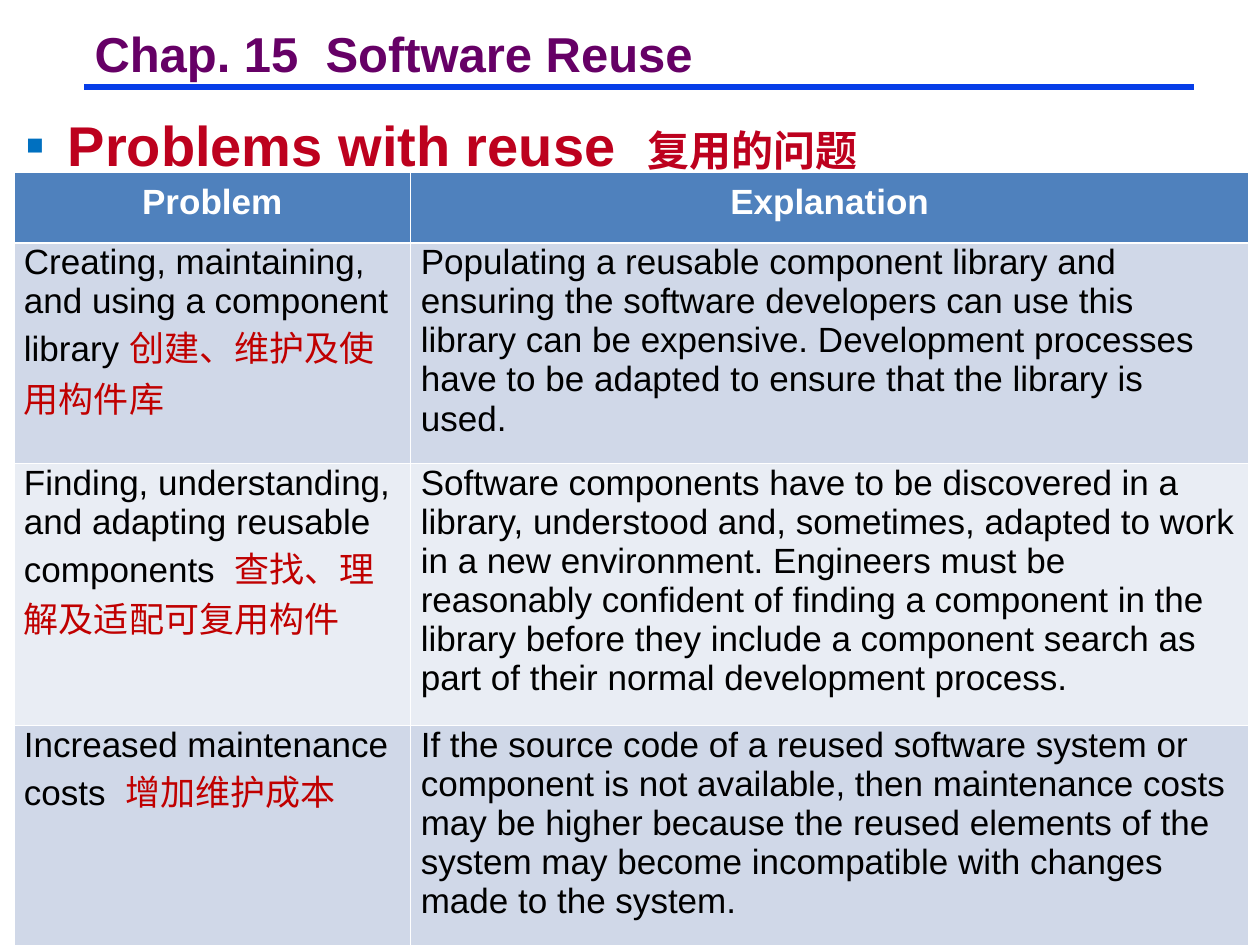
from lxml import etree
from pptx import Presentation
from pptx.dml.color import RGBColor
from pptx.enum import shapes, text
from pptx.oxml.ns import qn
from pptx.util import Inches, Pt

# Content
TITLE = "Chap. 15  Software Reuse"
HEADING = ("Problems with reuse  ", "复用的问题")
HEADERS = ["Problem", "Explanation"]
PROBLEMS = [
    (("Creating, maintaining, and using a component library ", "创建、维护及使用构件库"),
     "Populating a reusable component library and ensuring the software developers can use "
     "this library can be expensive. Development processes have to be adapted to ensure that "
     "the library is used."),
    (("Finding, understanding, and adapting reusable components  ", "查找、理解及适配可复用构件"),
     "Software components have to be discovered in a library, understood and, sometimes, "
     "adapted to work in a new environment. Engineers must be reasonably confident of finding "
     "a component in the library before they include a component search as part of their "
     "normal development process."),
    (("Increased maintenance costs  ", "增加维护成本"),
     "If the source code of a reused software system or component is not available, then "
     "maintenance costs may be higher because the reused elements of the system may become "
     "incompatible with changes made to the system."),
]
COLUMN_WIDTHS = [3.15, 6.65]
ROW_HEIGHTS = [0.56, 1.35, 1.97, 1.35]
HEADER_FILL = "4F81BD"
BAND_FILLS = ["D0D8E8", "E9EDF4"]
LATIN, CHINESE = "Arial", "Noto Sans CJK SC"


def rgb(code):
    return RGBColor.from_string(code)


def style(font, size, color, bold=False, name=LATIN):
    font.name, font.size, font.bold = name, Pt(size), bold
    font.color.rgb = rgb(color)


def add_chinese(paragraph, words, size, color, bold=False):
    run = paragraph.add_run()
    run.text = words
    style(run.font, size, color, bold, CHINESE)
    east_asian = etree.SubElement(run.font._element, qn("a:ea"))
    east_asian.set("typeface", CHINESE)


def add_latin(paragraph, words, size, color, bold=False):
    run = paragraph.add_run()
    run.text = words
    style(run.font, size, color, bold)


def set_margins(target, side, top, bottom):
    target.margin_left = target.margin_right = Inches(side)
    target.margin_top, target.margin_bottom = Inches(top), Inches(bottom)


def fill_cell(cell, color, top_margin):
    cell.fill.solid()
    cell.fill.fore_color.rgb = rgb(color)
    set_margins(cell, 0.08, top_margin, 0.08)
    return cell.text_frame.paragraphs[0]


prs = Presentation()
prs.slide_width, prs.slide_height = Inches(10), Inches(7.5)
slide = prs.slides.add_slide(prs.slide_layouts[5])

# Rule under the title
rule = slide.shapes.add_connector(shapes.MSO_CONNECTOR.STRAIGHT, Inches(0.67), Inches(0.69),
                                  Inches(9.48), Inches(0.69))
rule.line.color.rgb = rgb("063DE8")
rule.line.width = Pt(3.75)
etree.SubElement(rule._element.spPr, qn("a:effectLst"))

# Title
title = slide.shapes.title
title.left, title.top, title.width, title.height = map(Inches, (0.68, 0.22, 4.89, 0.46))
frame = title.text_frame
frame.text = TITLE
frame.word_wrap = False
frame.auto_size = text.MSO_AUTO_SIZE.SHAPE_TO_FIT_TEXT
set_margins(frame, 0.07, 0.03, 0.03)
paragraph = frame.paragraphs[0]
paragraph.alignment = text.PP_ALIGN.LEFT
paragraph.line_spacing = 0.87
style(paragraph.font, 28, "660066", True)

# Bulleted heading
heading = slide.shapes.add_textbox(Inches(0.1), Inches(0.79), Inches(9.82), Inches(0.57))
frame = heading.text_frame
frame.word_wrap = True
set_margins(frame, 0.1, 0.09, 0.05)
paragraph = frame.paragraphs[0]
properties = paragraph._p.get_or_add_pPr()
properties.set("marL", str(Inches(0.34)))
properties.set("indent", str(-Inches(0.34)))
bullet_color = etree.SubElement(properties, qn("a:buClr"))
etree.SubElement(bullet_color, qn("a:srgbClr")).set("val", "0070C0")
etree.SubElement(properties, qn("a:buFont")).set("typeface", LATIN)
etree.SubElement(properties, qn("a:buChar")).set("char", "▪")
add_latin(paragraph, HEADING[0], 32, "BD011E", True)
add_chinese(paragraph, HEADING[1], 24, "BD011E", True)

# Table of problems
table = slide.shapes.add_table(len(PROBLEMS) + 1, len(HEADERS), Inches(0.11), Inches(1.37),
                               Inches(sum(COLUMN_WIDTHS)), Inches(sum(ROW_HEIGHTS))).table
for column, width in zip(table.columns, COLUMN_WIDTHS):
    column.width = Inches(width)
for row, height in zip(table.rows, ROW_HEIGHTS):
    row.height = Inches(height)

for col, header in enumerate(HEADERS):
    paragraph = fill_cell(table.cell(0, col), HEADER_FILL, 0.08)
    paragraph.alignment = text.PP_ALIGN.CENTER
    add_latin(paragraph, header, 20, "FFFFFF", True)

for index, ((english, chinese), explanation) in enumerate(PROBLEMS):
    band = BAND_FILLS[index % 2]
    problem = fill_cell(table.cell(index + 1, 0), band, 0)
    add_latin(problem, english, 20, "000000")
    add_chinese(problem, chinese, 20, "C00000")
    add_latin(fill_cell(table.cell(index + 1, 1), band, 0), explanation, 20, "000000")

prs.save("out.pptx")
